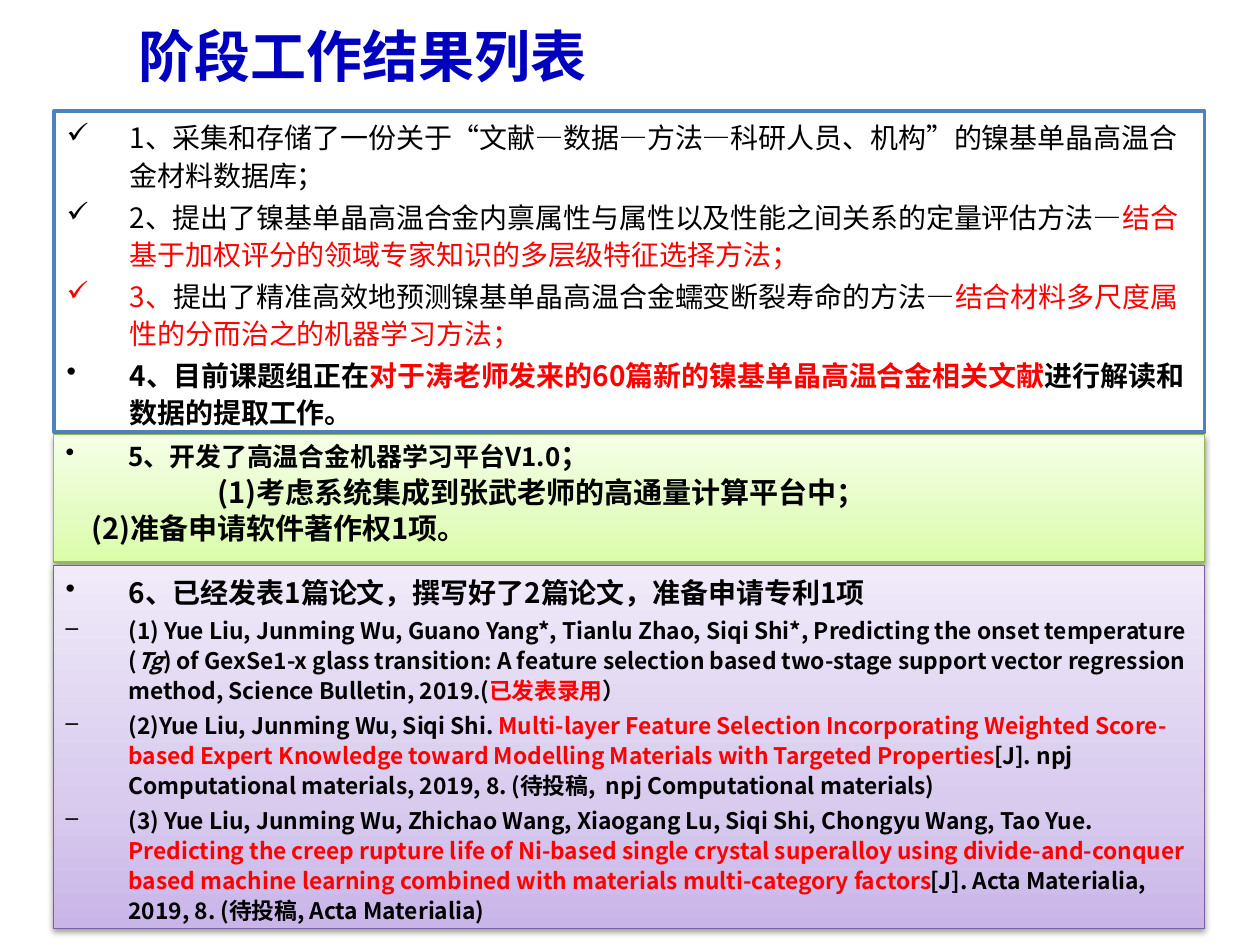
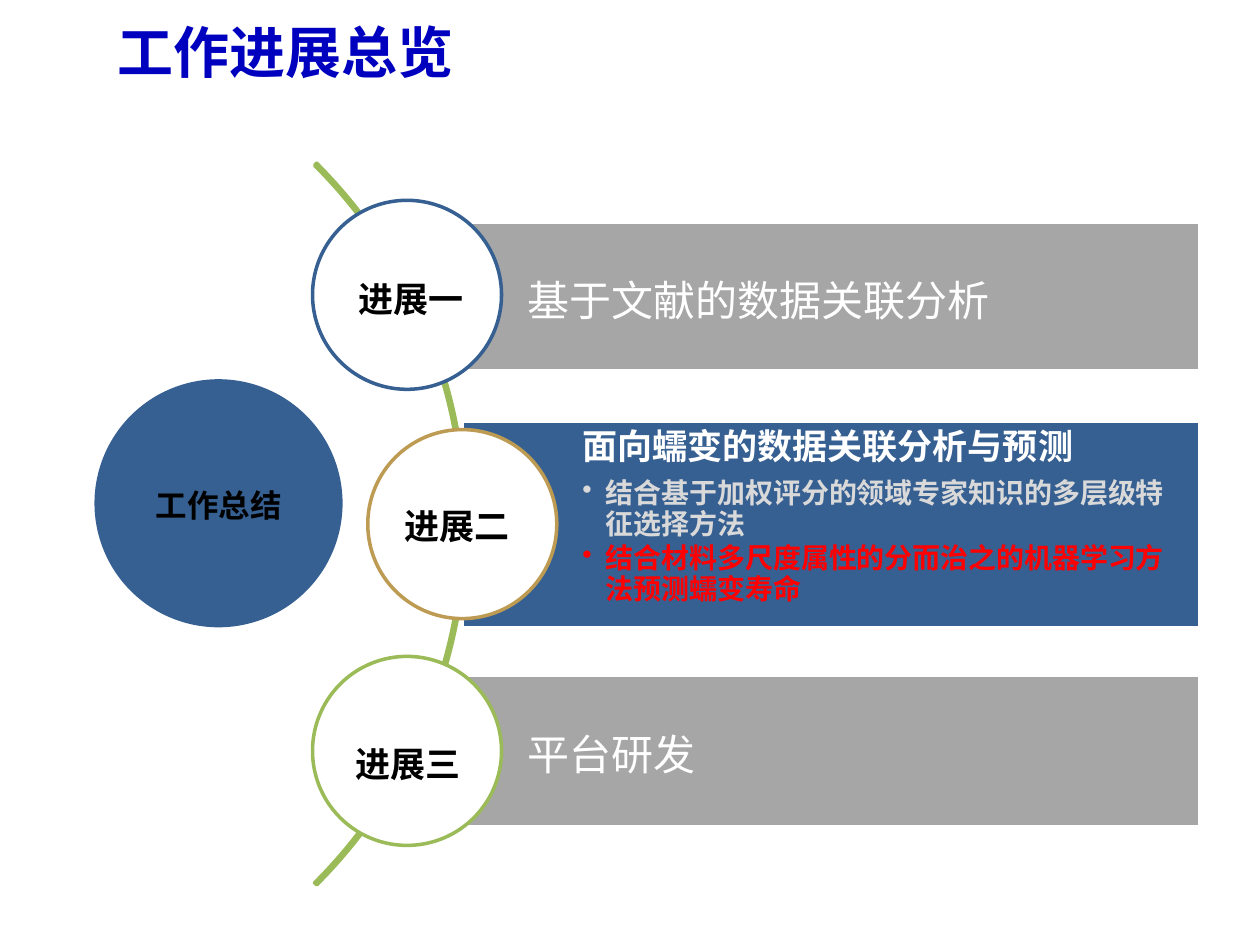
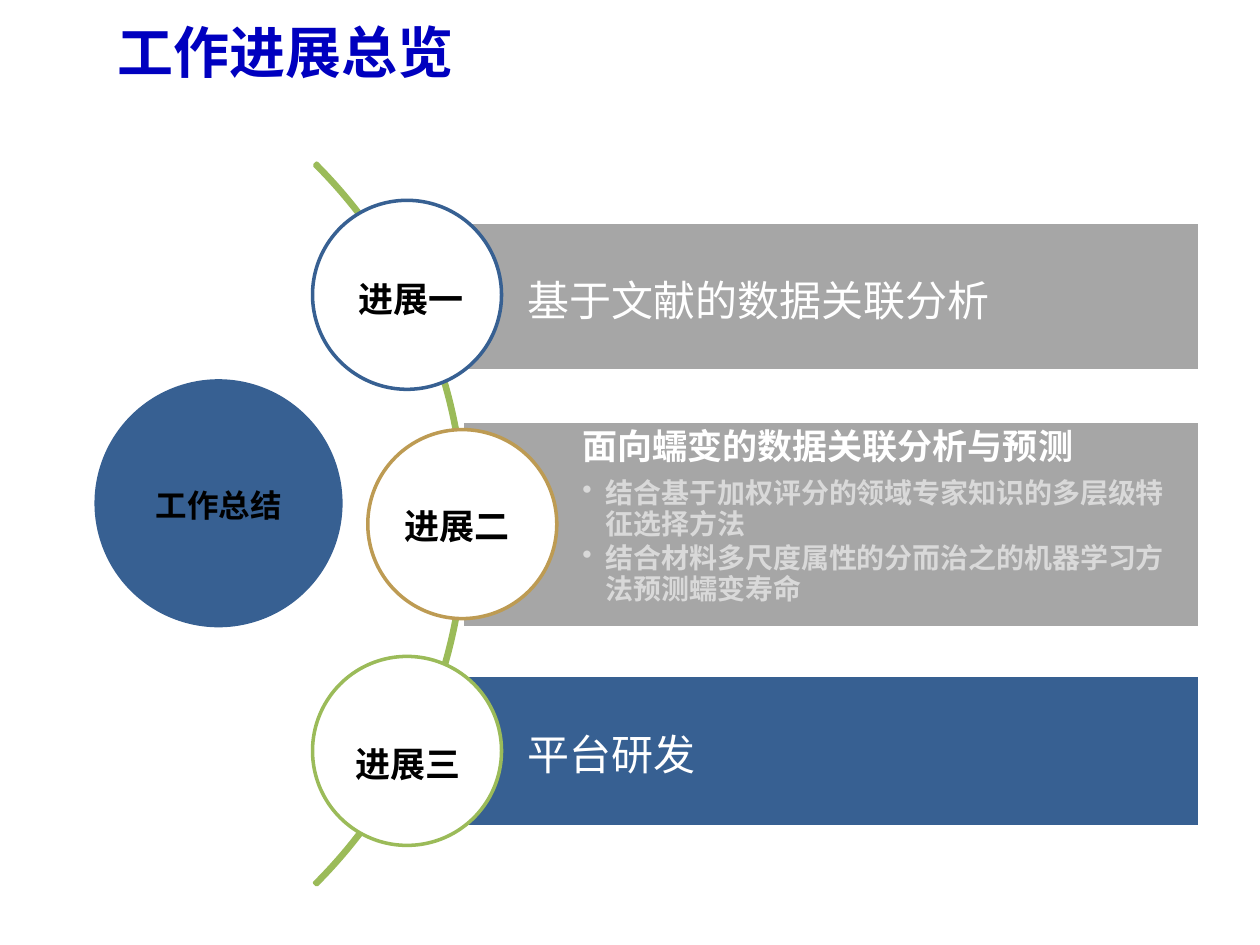
from copy import deepcopy
from dataclasses import dataclass
from typing import Optional

from lxml import etree
from pptx import Presentation
from pptx.dml.color import RGBColor
from pptx.enum import shapes, text
from pptx.oxml import ns
from pptx.util import Pt

BLACK = RGBColor(0x00, 0x00, 0x00)
WHITE = RGBColor(0xFF, 0xFF, 0xFF)
RED = RGBColor(0xFF, 0x00, 0x00)
TITLE_BLUE = RGBColor(0x00, 0x00, 0xBF)
FRAME_BLUE = RGBColor(0x4F, 0x81, 0xBD)
DEEP_BLUE = RGBColor(0x37, 0x60, 0x92)
GREEN = RGBColor(0x9B, 0xBB, 0x59)
GREEN_EDGE = RGBColor(0x98, 0xB9, 0x55)
PURPLE_EDGE = RGBColor(0x7D, 0x60, 0xA0)
GOLD = RGBColor(0xBD, 0x9B, 0x53)
GREY = RGBColor(0xA6, 0xA6, 0xA6)
PALE_GREY = RGBColor(0xD9, 0xD9, 0xD9)
GREEN_FADE = ((0, RGBColor(0xDA, 0xFD, 0xA7)), (0.35, RGBColor(0xE4, 0xFC, 0xC2)),
              (1, RGBColor(0xF5, 0xFF, 0xE7)))
PURPLE_FADE = ((0, RGBColor(0xC9, 0xB5, 0xE8)), (0.35, RGBColor(0xD8, 0xCB, 0xEE)),
               (1, RGBColor(0xF0, 0xEA, 0xF9)))

CJK_FONT = "Noto Sans CJK SC"
LATIN_FONT = "Calibri"
BAR_RIGHT = 685.8
CIRCLE_SIZE = 108


@dataclass(frozen=True)
class Span:
    words: str
    color: RGBColor = BLACK
    bold: bool = False
    italic: bool = False
    size: Optional[float] = None


@dataclass(frozen=True)
class Para:
    spans: tuple[Span, ...]
    size: float
    line: Optional[float] = None
    bullet: str = ""
    left: float = 0
    before: float = 0
    after: float = 0
    centred: bool = False


@dataclass(frozen=True)
class Area:
    left: float
    top: float
    width: float
    height: float


@dataclass(frozen=True)
class Step:
    bar: Area
    paras: tuple[Para, ...]
    circle_left: float
    circle_top: float
    edge: RGBColor
    label: str
    label_area: Area


def place(area: Area) -> tuple[Pt, Pt, Pt, Pt]:
    return Pt(area.left), Pt(area.top), Pt(area.width), Pt(area.height)


def write(box, paras: tuple[Para, ...], font: str, anchor=text.MSO_ANCHOR.TOP) -> None:
    frame = box.text_frame
    frame.word_wrap = True
    frame.vertical_anchor = anchor
    for index, item in enumerate(paras):
        para = frame.add_paragraph() if index else frame.paragraphs[0]
        properties = para._p.get_or_add_pPr()
        properties.set("marL", str(Pt(item.left)))
        properties.set("indent", str(-Pt(item.left) if item.bullet else 0))
        if item.bullet:
            etree.SubElement(properties, ns.qn("a:buChar")).set("char", item.bullet)
        para.alignment = text.PP_ALIGN.CENTER if item.centred else text.PP_ALIGN.LEFT
        para.space_before = Pt(item.before if index else 0)
        para.space_after = Pt(item.after)
        if item.line:
            para.line_spacing = Pt(item.line)
        for span in item.spans:
            run = para.add_run()
            run.text = span.words
            run.font.size = Pt(span.size or item.size)
            run.font.bold = span.bold
            run.font.italic = span.italic
            run.font.color.rgb = span.color
            run.font.name = font
            east_asian = etree.SubElement(run._r.get_or_add_rPr(), ns.qn("a:ea"))
            east_asian.set("typeface", CJK_FONT)


def add_shape(page, kind, area: Area, fill: Optional[RGBColor] = None,
              edge: Optional[RGBColor] = None, weight: float = 2):
    shape = page.shapes.add_shape(kind, *place(area))
    shape.shadow.inherit = False
    if fill is None:
        shape.fill.background()
    else:
        shape.fill.solid()
        shape.fill.fore_color.rgb = fill
    if edge is None:
        shape.line.fill.background()
    else:
        shape.line.color.rgb = edge
        shape.line.width = Pt(weight)
    return shape


def add_faded_panel(page, area: Area, edge: RGBColor, fade):
    panel = add_shape(page, shapes.MSO_SHAPE.RECTANGLE, area, WHITE, edge, 0.75)
    panel.fill.gradient()
    panel.fill.gradient_angle = 90
    properties = panel._element.spPr
    stops = properties.find(".//" + ns.qn("a:gsLst"))
    stops.append(deepcopy(stops[0]))
    for stop, (position, color) in zip(panel.fill.gradient_stops, fade):
        stop.position = position
        stop.color.rgb = color
    shadow = etree.SubElement(properties.find(ns.qn("a:effectLst")), ns.qn("a:outerShdw"),
                              blurRad=str(Pt(3.1)), dist=str(Pt(1.6)),
                              dir="5400000", rotWithShape="0")
    color = etree.SubElement(shadow, ns.qn("a:srgbClr"), val="000000")
    etree.SubElement(color, ns.qn("a:alpha"), val="38000")
    return panel


def add_text(page, area: Area, paras: tuple[Para, ...], font: str,
             anchor=text.MSO_ANCHOR.TOP) -> None:
    write(page.shapes.add_textbox(*place(area)), paras, font, anchor)


def add_page(deck, title: str, left: float, top: float):
    page = deck.slides.add_slide(deck.slide_layouts[6])
    heading = Para((Span(title, TITLE_BLUE, True),), 32)
    add_text(page, Area(left, top, 648, 62.6), (heading,), CJK_FONT, text.MSO_ANCHOR.MIDDLE)
    return page


def result(bullet: str, *spans: Span) -> Para:
    return Para(spans, 16, 21.3, bullet, 36, before=2.7)


def platform(left: float, *spans: Span, bullet: str = "") -> Para:
    return Para(spans, 16.6, 18, bullet, left, before=2.8)


def paper(*spans: Span) -> Para:
    return Para(spans, 13, 17.15, "–", 36, before=2.8)


def strong(words: str, color: RGBColor = BLACK, italic: bool = False,
           size: Optional[float] = None) -> Span:
    return Span(words, color, True, italic, size)


RESULTS = (
    result("✓", Span("1、采集和存储了一份关于“文献—数据—方法—科研人员、机构”的镍基单晶高温合金材料数据库；")),
    result("✓", Span("2、提出了镍基单晶高温合金内禀属性与属性以及性能之间关系的定量评估方法—"),
           Span("结合基于加权评分的领域专家知识的多层级特征选择方法；", RED)),
    result("✓", Span("3、", RED), Span("提出了精准高效地预测镍基单晶高温合金蠕变断裂寿命的方法—"),
           Span("结合材料多尺度属性的分而治之的机器学习方法；", RED)),
    result("•", strong("4、目前课题组正在"),
           strong("对于涛老师发来的60篇新的镍基单晶高温合金相关文献", RED),
           strong("进行解读和数据的提取工作。")),
)
PLATFORM = (
    platform(36, strong("5、开发了高温合金机器学习平台V1.0", size=14.8), strong("；"), bullet="•"),
    platform(87, strong("(1)考虑系统集成到张武老师的高通量计算平台中；")),
    platform(15, strong("(2)准备申请软件著作权1项。")),
)
PAPERS = (
    result("•", strong("6、已经发表1篇论文，撰写好了2篇论文，准备申请专利1项")),
    paper(strong("(1) Yue Liu, Junming Wu, Guano Yang*, Tianlu Zhao, Siqi Shi*, "
                 "Predicting the onset temperature ("),
          strong("Tg", italic=True),
          strong(") of GexSe1-x glass transition: A feature selection based two-stage "
                 "support vector regression method, Science Bulletin, 2019.("),
          strong("已发表录用", RED), strong("）")),
    paper(strong("(2)Yue Liu, Junming Wu, Siqi Shi. "),
          strong("Multi-layer Feature Selection Incorporating Weighted Score-based Expert "
                 "Knowledge toward Modelling Materials with Targeted Properties", RED),
          strong("[J]. npj Computational materials, 2019, 8. "
                 "(待投稿,  npj Computational materials)")),
    paper(strong("(3) Yue Liu, Junming Wu, Zhichao Wang, Xiaogang Lu, Siqi Shi, "
                 "Chongyu Wang, Tao Yue. "),
          strong("Predicting the creep rupture life of Ni-based single crystal superalloy "
                 "using divide-and-conquer based machine learning combined with materials "
                 "multi-category factors", RED),
          strong("[J]. Acta Materialia, 2019, 8. (待投稿, Acta Materialia)")),
)


def bar_area(left: float, top: float, height: float) -> Area:
    return Area(left, top, BAR_RIGHT - left, height)


def topic(words: str) -> tuple[Para, ...]:
    return (Para((Span(words, WHITE),), 24, 32),)


def method(words: str, color: RGBColor) -> Para:
    return Para((strong(words, color),), 16, 17.4, "•", 13.5, after=2.4)


def build_steps(last_method_color: RGBColor) -> tuple[Step, ...]:
    creep = (
        Para((strong("面向蠕变的数据关联分析与预测", WHITE),), 20, 21.8, after=7),
        method("结合基于加权评分的领域专家知识的多层级特征选择方法", PALE_GREY),
        method("结合材料多尺度属性的分而治之的机器学习方法预测蠕变寿命", last_method_color),
    )
    return (
        Step(bar_area(233.2, 126.9, 85), topic("基于文献的数据关联分析"),
             178.6, 114.5, DEEP_BLUE, "进展一", Area(198, 154, 80, 31.5)),
        Step(bar_area(264.4, 240.5, 118), creep,
             210.2, 245.5, GOLD, "进展二", Area(223.9, 283.7, 76.4, 31.5)),
        Step(bar_area(233.2, 385.9, 86.4), topic("平台研发"),
             178.6, 375.1, GREEN, "进展三", Area(195.8, 419.8, 85, 31.5)),
    )


def build_results(deck) -> None:
    page = add_page(deck, "阶段工作结果列表", 72, 0)
    frame = add_shape(page, shapes.MSO_SHAPE.RECTANGLE, Area(31, 63.4, 657.4, 183.6),
                      WHITE, FRAME_BLUE)
    write(frame, RESULTS, CJK_FONT)
    panels = ((248.4, 72.7, GREEN_EDGE, GREEN_FADE, PLATFORM),
              (323.3, 207.4, PURPLE_EDGE, PURPLE_FADE, PAPERS))
    for top, height, edge, fade, paras in panels:
        panel = add_faded_panel(page, Area(30.4, top, 658, height), edge, fade)
        write(panel, paras, CJK_FONT)


def build_overview(deck, active: int, last_method_color: RGBColor) -> None:
    page = add_page(deck, "工作进展总览", 59.8, -2.2)
    hub = add_shape(page, shapes.MSO_SHAPE.OVAL, Area(54, 216.7, 141.8, 141.8), DEEP_BLUE)
    write(hub, (Para((strong("工作总结"),), 18, 24, centred=True),), LATIN_FONT,
          text.MSO_ANCHOR.MIDDLE)
    arc = add_shape(page, shapes.MSO_SHAPE.BLOCK_ARC, Area(-316.8, 7.9, 583.2, 583.2),
                    edge=GREEN)
    for index, value in enumerate((189, 27, 0.003)):
        arc.adjustments[index] = value
    steps = build_steps(last_method_color)
    for index, step in enumerate(steps):
        bar = add_shape(page, shapes.MSO_SHAPE.RECTANGLE, step.bar,
                        DEEP_BLUE if index == active else GREY, WHITE)
        frame = bar.text_frame
        frame.margin_left = Pt(68.4)
        frame.margin_top = frame.margin_right = frame.margin_bottom = Pt(4.5)
        anchor = text.MSO_ANCHOR.TOP if len(step.paras) > 1 else text.MSO_ANCHOR.MIDDLE
        write(bar, step.paras, LATIN_FONT, anchor)
        add_shape(page, shapes.MSO_SHAPE.OVAL,
                  Area(step.circle_left, step.circle_top, CIRCLE_SIZE, CIRCLE_SIZE),
                  WHITE, step.edge)
    for step in steps:
        add_text(page, step.label_area, (Para((strong(step.label),), 20, 25),), LATIN_FONT)


def main() -> None:
    deck = Presentation()
    deck.slide_width, deck.slide_height = Pt(720), Pt(540)
    build_results(deck)
    build_overview(deck, 1, RED)
    build_overview(deck, 2, PALE_GREY)
    deck.save("out.pptx")


if __name__ == "__main__":
    main()
